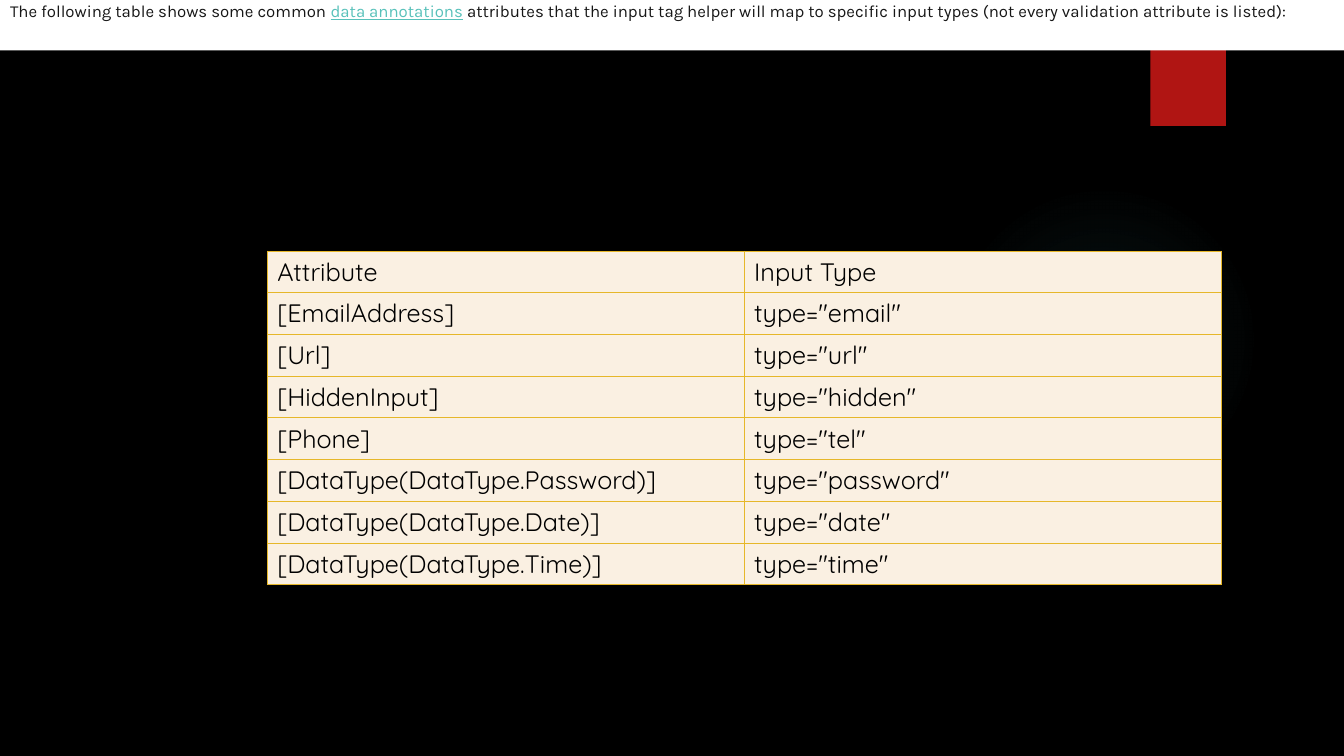
from lxml import etree
from pptx import Presentation
from pptx.dml.color import RGBColor
from pptx.enum import shapes, text
from pptx.oxml import ns, parse_xml
from pptx.util import Inches, Pt

COLORS = {
    "black": "000000",
    "white": "FFFFFF",
    "red": "B01513",
    "glow": "50B9C1",
    "gold": "E6B729",
    "cream": "FAF0E2",
    "ink": "171717",
    "link": "58C1BA",
}
INTRO = [
    ("The following table shows some common\u00a0", "ink", False),
    ("data annotations", "link", True),
    ("\u00a0attributes that the input tag helper will map to specific input types "
     "(not every validation attribute is listed):", "ink", False),
]
ROWS = [
    ("Attribute", "Input Type"),
    ("[EmailAddress]", 'type="email"'),
    ("[Url]", 'type="url"'),
    ("[HiddenInput]", 'type="hidden"'),
    ("[Phone]", 'type="tel"'),
    ("[DataType(DataType.Password)]", 'type="password"'),
    ("[DataType(DataType.Date)]", 'type="date"'),
    ("[DataType(DataType.Time)]", 'type="time"'),
]
GLOW_STOPS = [(0, 7), (36, 6), (69, 0)]


def color(name):
    return RGBColor.from_string(COLORS[name])


def paint(fill, name):
    fill.solid()
    fill.fore_color.rgb = color(name)


def add_span(para, words, font, size, name):
    span = para.add_run()
    span.text = words
    span.font.name = font
    span.font.size = Pt(size)
    span.font.bold = False
    span.font.color.rgb = color(name)
    return span


def add_plain_shape(page, kind, left, top, width, height, name):
    box = page.shapes.add_shape(
        kind, Inches(left), Inches(top), Inches(width), Inches(height))
    box.shadow.inherit = False
    box.line.fill.background()
    paint(box.fill, name)
    return box


def add_glow(page):
    glow = add_plain_shape(
        page, shapes.MSO_SHAPE.OVAL, 9.41, 1.83, 3.08, 3.08, "glow")
    stops = "".join(
        f'<a:gs pos="{place * 1000}"><a:srgbClr val="{COLORS["glow"]}">'
        f'<a:alpha val="{alpha * 1000}"/></a:srgbClr></a:gs>'
        for place, alpha in GLOW_STOPS)
    gradient = parse_xml(
        f'<a:gradFill {ns.nsdecls("a")}><a:gsLst>{stops}</a:gsLst>'
        '<a:path path="circle">'
        '<a:fillToRect l="50000" t="50000" r="50000" b="50000"/>'
        '</a:path></a:gradFill>')
    properties = glow.element.spPr
    properties.replace(properties.find(ns.qn("a:solidFill")), gradient)


def set_borders(cell, name, width):
    properties = cell._tc.get_or_add_tcPr()
    for place, side in enumerate(("lnL", "lnR", "lnT", "lnB")):
        line = etree.Element(ns.qn(f"a:{side}"), w=str(Pt(width)))
        fill = etree.SubElement(line, ns.qn("a:solidFill"))
        etree.SubElement(fill, ns.qn("a:srgbClr"), val=COLORS[name])
        properties.insert(place, line)


def add_attribute_table(page):
    frame = page.shapes.add_table(
        len(ROWS), 2, Inches(2.65), Inches(2.49),
        Inches(9.46), Inches(0.41 * len(ROWS)))
    table = frame.table
    table.first_row = False
    table.horz_banding = False
    for row, values in zip(table.rows, ROWS):
        for cell, value in zip(row.cells, values):
            paint(cell.fill, "cream")
            set_borders(cell, "gold", 0.75)
            add_span(cell.text_frame.paragraphs[0], value, "Quicksand", 18, "black")


def fill_intro(box):
    box.left = box.top = Inches(0)
    box.width, box.height = Inches(13.33), Inches(0.5)
    paint(box.fill, "white")
    frame = box.text_frame
    frame.word_wrap = True
    frame.auto_size = text.MSO_AUTO_SIZE.NONE
    frame.vertical_anchor = text.MSO_ANCHOR.TOP
    frame.margin_left = frame.margin_right = Inches(0.1)
    frame.margin_top = frame.margin_bottom = Inches(0.01)
    para = frame.paragraphs[0]
    para.alignment = text.PP_ALIGN.LEFT
    for words, name, underlined in INTRO:
        add_span(para, words, "Karla", 12, name).font.underline = underlined


def main():
    deck = Presentation()
    deck.slide_width, deck.slide_height = Inches(13.33), Inches(7.5)
    page = deck.slides.add_slide(deck.slide_layouts[5])
    paint(page.background.fill, "black")
    add_glow(page)
    add_plain_shape(
        page, shapes.MSO_SHAPE.RECTANGLE, 11.41, 0, 0.75, 1.25, "red")
    add_attribute_table(page)
    intro = page.shapes.title
    fill_intro(intro)
    page.shapes._spTree.append(intro.element)
    deck.save("out.pptx")


if __name__ == "__main__":
    main()
